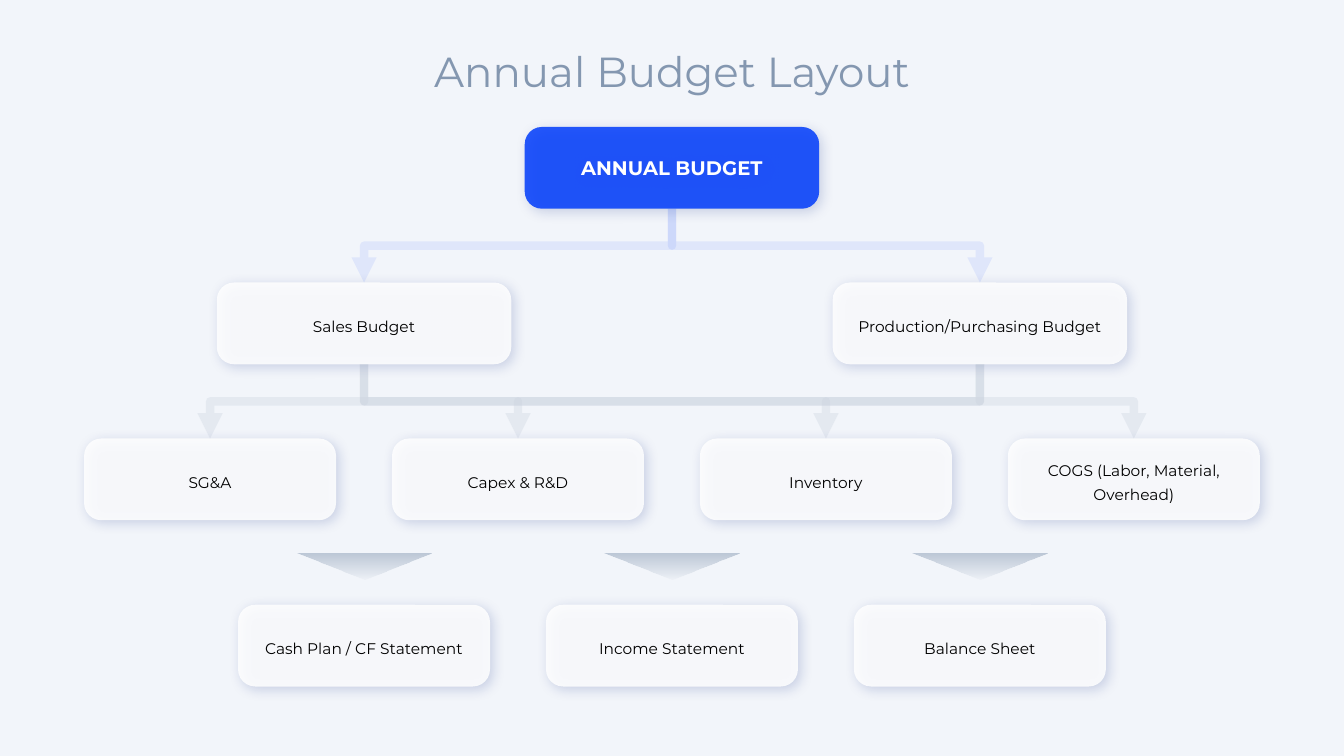
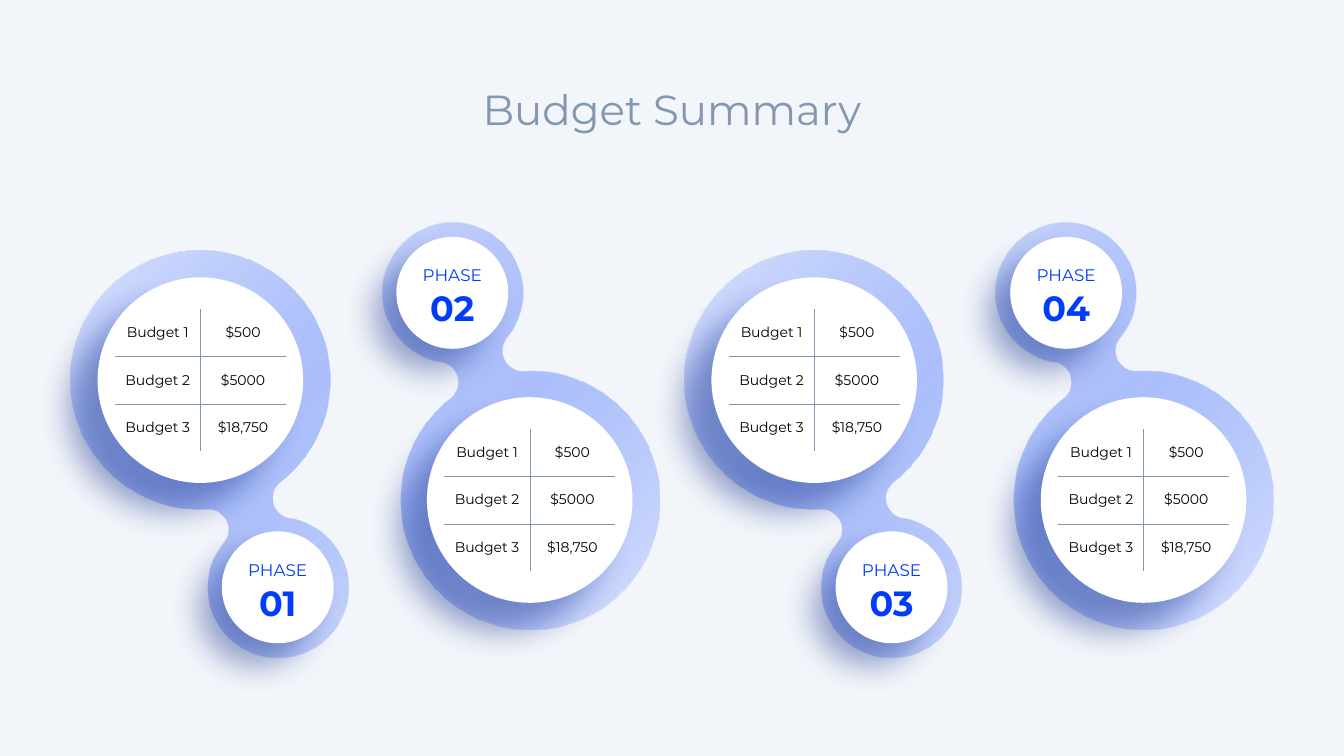
"""Build the annual budget layout and budget summary slides."""
import math
from dataclasses import dataclass

from lxml import etree
from pptx import Presentation
from pptx.dml.color import RGBColor
from pptx.enum.shapes import MSO_CONNECTOR, MSO_SHAPE
from pptx.enum.text import MSO_ANCHOR, MSO_AUTO_SIZE, PP_ALIGN
from pptx.oxml import parse_xml
from pptx.oxml.ns import nsdecls, qn
from pptx.util import Cm, Pt

ELBOW = MSO_CONNECTOR.ELBOW
ROUNDED, TRIANGLE, OVAL = MSO_SHAPE.ROUNDED_RECTANGLE, MSO_SHAPE.ISOSCELES_TRIANGLE, MSO_SHAPE.OVAL
CENTER, TOP, MIDDLE = PP_ALIGN.CENTER, MSO_ANCHOR.TOP, MSO_ANCHOR.MIDDLE
NO_AUTOFIT = MSO_AUTO_SIZE.NONE

COLORS = {
    "background": "F2F5FA", "blue": "013CFB", "sky": "6589FE", "pale": "CCD8FF",
    "slate": "8497B0", "shadow": "001E7E", "white": "FFFFFF", "black": "000000",
}
FONT = "Montserrat"
PLAIN_TABLE = "{2D5ABB26-0587-4C30-8999-92F81FD0307C}"
SLIDE_W, SLIDE_H = 33.87, 19.05
TITLE_W, TITLE_H = 20, 1.57

SLOT_W = 7.76
CARD_H, WIDE, NARROW = 2.06, 7.42, 6.35
ROW_TOPS = (3.2, 7.12, 11.05, 15.24)
POINTER_W, POINTER_H, POINTER_TOP = 3.38, 0.66, 13.94

BIG_R, SMALL_R, NECK_R = 3.26, 1.77, 0.51
BIG_DISC_R, SMALL_DISC_R = 2.59, 1.41
SMALL_DX, SMALL_DY = 1.95, 5.22
COLUMN_W, ROW_H = 2.15, 1.19
PHASE_PITCH = 15.47
BUDGETS = (("Budget 1", "$500"), ("Budget 2", "$5000"), ("Budget 3", "$18,750"))


@dataclass(frozen=True)
class Card:
    label: str
    slot: float
    row: int
    width: float = NARROW

    @property
    def center(self) -> float:
        return SLIDE_W / 2 + self.slot * SLOT_W

    @property
    def top(self) -> float:
        return ROW_TOPS[self.row]


@dataclass(frozen=True)
class Shadow:
    alpha: int
    blur: int
    distance: int
    angle: int


@dataclass(frozen=True)
class Phase:
    number: str
    x: float
    y: float
    side: int


@dataclass(frozen=True)
class Stop:
    position: int
    color: str
    alpha: int


@dataclass(frozen=True)
class Arc:
    center: complex
    radius: float
    start: float
    end: float

    def point(self, angle: float) -> tuple[int, int]:
        x = self.center.real + self.radius * math.cos(angle)
        y = self.center.imag + self.radius * math.sin(angle)
        return Cm(x), Cm(y)

    def quarters(self) -> list["Arc"]:
        low, high = sorted((self.start, self.end))
        quarter = math.pi / 2
        cuts = [n * quarter for n in range(math.ceil(low / quarter), math.ceil(high / quarter))]
        angles = [low, *cuts, high]
        if self.start > self.end:
            angles.reverse()
        return [Arc(self.center, self.radius, a, b) for a, b in zip(angles, angles[1:])]


CARD_SHADOW = Shadow(20, 9, 3, 45)
BIG_SHADOW = Shadow(40, 23, 29, 135)
SMALL_SHADOW = Shadow(40, 23, 22, 135)
POINTER_STOPS = (Stop(0, "slate", 3), Stop(100, "slate", 50))
PHASE_STOPS = (Stop(0, "pale", 66), Stop(50, "sky", 49), Stop(99, "blue", 17))

ROOT = Card("ANNUAL BUDGET", 0, 0, WIDE)
PLANS = (Card("Sales Budget", -1, 1, WIDE), Card("Production/Purchasing Budget", 1, 1, WIDE))
COST_LABELS = ("SG&A", "Capex & R&D", "Inventory", "COGS (Labor, Material, Overhead)")
COSTS = [Card(label, index - 1.5, 2) for index, label in enumerate(COST_LABELS)]
STATEMENT_LABELS = ("Cash Plan / CF Statement", "Income Statement", "Balance Sheet")
STATEMENTS = [Card(label, index - 1, 3) for index, label in enumerate(STATEMENT_LABELS)]
PHASES = [
    Phase(f"{index + 1:02}", x + index // 2 * PHASE_PITCH, y, side)
    for index, (x, y, side) in enumerate(((5.05, 9.58, 1), (13.35, 12.6, -1)) * 2)
]


def rgb(color: str) -> RGBColor:
    return RGBColor.from_string(COLORS[color])


def add_run(paragraph, text: str, size: float, color: str, bold: bool = False) -> None:
    run = paragraph.add_run()
    run.text = text
    run.font.name = FONT
    run.font.size = Pt(size)
    run.font.bold = bold
    run.font.color.rgb = rgb(color)


def set_alpha(properties, alpha: int) -> None:
    color = properties.find(f".//{qn('a:srgbClr')}")
    etree.SubElement(color, qn("a:alpha"), val=str(alpha * 1000))


def set_solid(shape, color: str, alpha: int = 100) -> None:
    shape.fill.solid()
    shape.fill.fore_color.rgb = rgb(color)
    if alpha < 100:
        set_alpha(shape.element.spPr, alpha)
    shape.line.fill.background()
    shape.shadow.inherit = False


def set_gradient(shape, stops: tuple[Stop, ...], direction: str) -> None:
    shape.fill.background()
    shape.line.fill.background()
    shape.shadow.inherit = False
    marks = "".join(
        f'<a:gs pos="{stop.position * 1000}"><a:srgbClr val="{COLORS[stop.color]}">'
        f'<a:alpha val="{stop.alpha * 1000}"/></a:srgbClr></a:gs>'
        for stop in stops
    )
    gradient = parse_xml(
        f'<a:gradFill {nsdecls("a")} rotWithShape="1"><a:gsLst>{marks}</a:gsLst>'
        f"{direction}</a:gradFill>"
    )
    properties = shape.element.spPr
    properties.replace(properties.find(qn("a:noFill")), gradient)


def add_shadow(shape, shadow: Shadow) -> None:
    outer = parse_xml(
        f'<a:outerShdw {nsdecls("a")} blurRad="{Pt(shadow.blur)}" dist="{Pt(shadow.distance)}" '
        f'dir="{shadow.angle * 60000}" algn="ctr" rotWithShape="0">'
        f'<a:srgbClr val="{COLORS["shadow"]}"><a:alpha val="{shadow.alpha * 1000}"/>'
        "</a:srgbClr></a:outerShdw>"
    )
    shape.element.spPr.find(qn("a:effectLst")).append(outer)


def add_titled_slide(prs, title: str, top: float):
    slide = prs.slides.add_slide(prs.slide_layouts.get_by_name("Title Only"))
    heading = slide.shapes.title
    heading.left, heading.top = Cm((SLIDE_W - TITLE_W) / 2), Cm(top)
    heading.width, heading.height = Cm(TITLE_W), Cm(TITLE_H)
    frame = heading.text_frame
    frame.word_wrap = True
    frame.auto_size = NO_AUTOFIT
    frame.vertical_anchor = TOP
    paragraph = frame.paragraphs[0]
    paragraph.alignment = CENTER
    paragraph.line_spacing = Pt(40)
    add_run(paragraph, title, 30, "slate")
    return slide


def add_card(slide, card: Card) -> None:
    is_root = card is ROOT
    box = slide.shapes.add_shape(
        ROUNDED, Cm(card.center - card.width / 2), Cm(card.top), Cm(card.width), Cm(CARD_H)
    )
    box.adjustments[0] = 0.21
    set_solid(box, "blue" if is_root else "white", 85)
    add_shadow(box, CARD_SHADOW)
    frame = box.text_frame
    frame.word_wrap = True
    frame.vertical_anchor = MIDDLE
    paragraph = frame.paragraphs[0]
    paragraph.alignment = CENTER
    paragraph.line_spacing = Pt(16 if is_root else 17)
    size, color = (14, "white") if is_root else (11, "black")
    add_run(paragraph, card.label, size, color, is_root)


def add_branch(slide, parent: Card, child: Card, color: str, alpha: int) -> None:
    start = parent.top + CARD_H
    drop, reach = child.top - start, abs(child.center - parent.center)
    left = (parent.center + child.center - drop) / 2
    top = (start + child.top - reach) / 2
    goes_right = child.center > parent.center
    begin, end = (left + drop, left) if goes_right else (left, left + drop)
    branch = slide.shapes.add_connector(ELBOW, Cm(begin), Cm(top), Cm(end), Cm(top + reach))
    branch.line.width = Pt(6)
    branch.line.color.rgb = rgb(color)
    properties = branch.element.spPr
    properties.find(qn("a:xfrm")).set("rot", str((270 if goes_right else 90) * 60000))
    set_alpha(properties, alpha)
    etree.SubElement(properties.find(qn("a:ln")), qn("a:tailEnd"), type="triangle")
    etree.SubElement(properties, qn("a:effectLst"))


def add_pointer(slide, center: float) -> None:
    pointer = slide.shapes.add_shape(
        TRIANGLE, Cm(center - POINTER_W / 2), Cm(POINTER_TOP), Cm(POINTER_W), Cm(POINTER_H)
    )
    pointer.rotation = 180
    set_gradient(pointer, POINTER_STOPS, '<a:lin ang="5400000" scaled="0"/>')


def linked_circles(phase: Phase) -> list[Arc]:
    distance = math.hypot(SMALL_DX, SMALL_DY)
    axis = complex(SMALL_DX, SMALL_DY) * phase.side / distance
    tilt = math.atan2(axis.imag, axis.real)
    to_big, to_small = BIG_R + NECK_R, SMALL_R + NECK_R
    along = (to_big**2 + distance**2 - to_small**2) / (2 * distance)
    across = math.sqrt(to_big**2 - along**2)
    big_turn = math.atan2(across, along)
    small_turn = math.atan2(across, distance - along)
    outline = (
        (0, BIG_R, big_turn, 2 * math.pi - big_turn),
        (complex(along, -across), NECK_R, math.pi - big_turn, small_turn),
        (distance, SMALL_R, small_turn - math.pi, math.pi - small_turn),
        (complex(along, across), NECK_R, -small_turn, big_turn - math.pi),
    )
    origin = complex(phase.x, phase.y)
    return [
        Arc(origin + center * axis, radius, start + tilt, end + tilt)
        for center, radius, start, end in outline
    ]


def add_outline(slide, phase: Phase) -> None:
    arcs = [piece for arc in linked_circles(phase) for piece in arc.quarters()]
    builder = slide.shapes.build_freeform(*arcs[0].point(arcs[0].start))
    builder.add_line_segments([arc.point(arc.end) for arc in arcs], close=True)
    blob = builder.convert_to_shape()
    for segment, arc in zip(list(blob.element.iter(qn("a:lnTo"))), arcs):
        start = round(math.degrees(arc.start) % 360 * 60000)
        sweep = round(math.degrees(arc.end - arc.start) * 60000)
        curve = parse_xml(
            f'<a:arcTo {nsdecls("a")} wR="{Cm(arc.radius)}" hR="{Cm(arc.radius)}" '
            f'stAng="{start}" swAng="{sweep}"/>'
        )
        segment.getparent().replace(segment, curve)
    near, far = (0, 100000) if phase.side > 0 else (100000, 0)
    direction = (
        f'<a:path path="circle"><a:fillToRect l="{near}" t="{near}" r="{far}" b="{far}"/></a:path>'
    )
    set_gradient(blob, PHASE_STOPS, direction)


def add_disc(slide, x: float, y: float, radius: float, shadow: Shadow):
    size = Cm(2 * radius)
    disc = slide.shapes.add_shape(OVAL, Cm(x - radius), Cm(y - radius), size, size)
    set_solid(disc, "white")
    add_shadow(disc, shadow)
    return disc


def add_phase(slide, phase: Phase) -> None:
    add_outline(slide, phase)
    add_disc(slide, phase.x, phase.y, BIG_DISC_R, BIG_SHADOW)
    x, y = phase.x + phase.side * SMALL_DX, phase.y + phase.side * SMALL_DY
    frame = add_disc(slide, x, y, SMALL_DISC_R, SMALL_SHADOW).text_frame
    frame.word_wrap = True
    frame.vertical_anchor = MIDDLE
    frame.margin_left = frame.margin_right = frame.margin_top = frame.margin_bottom = 0
    paragraph = frame.paragraphs[0]
    paragraph.alignment = CENTER
    add_run(paragraph, "PHASE", 12, "blue")
    add_run(paragraph, " ", 18, "blue")
    add_run(paragraph, phase.number, 25, "blue", True)


def add_border(cell, edge: str) -> None:
    cell._tc.get_or_add_tcPr().append(parse_xml(
        f'<a:{edge} {nsdecls("a")} w="{Pt(0.25)}"><a:solidFill>'
        f'<a:srgbClr val="{COLORS["slate"]}"/></a:solidFill></a:{edge}>'
    ))


def add_budget_table(slide, phase: Phase) -> None:
    rows, columns = len(BUDGETS), len(BUDGETS[0])
    width, height = columns * COLUMN_W, rows * ROW_H
    table = slide.shapes.add_table(
        rows, columns, Cm(phase.x - width / 2), Cm(phase.y - height / 2), Cm(width), Cm(height)
    ).table
    table.first_row = table.horz_banding = False
    table._tbl.tblPr.find(qn("a:tableStyleId")).text = PLAIN_TABLE
    for r, budget in enumerate(BUDGETS):
        for c, text in enumerate(budget):
            cell = table.cell(r, c)
            cell.margin_left = cell.margin_right = Cm(0.2)
            cell.margin_top = cell.margin_bottom = Cm(0.1)
            cell.vertical_anchor = MIDDLE
            if c < columns - 1:
                add_border(cell, "lnR")
            if r < rows - 1:
                add_border(cell, "lnB")
            cell.fill.background()
            paragraph = cell.text_frame.paragraphs[0]
            paragraph.alignment = CENTER
            add_run(paragraph, text, 10, "black")


def build_layout(prs) -> None:
    slide = add_titled_slide(prs, "Annual Budget Layout", 0.89)
    for card in (ROOT, *PLANS, *COSTS, *STATEMENTS):
        add_card(slide, card)
    for plan in PLANS:
        add_branch(slide, ROOT, plan, "blue", 7)
        for cost in COSTS:
            add_branch(slide, plan, cost, "slate", 5)
    for statement in STATEMENTS:
        add_pointer(slide, statement.center)


def build_summary(prs) -> None:
    slide = add_titled_slide(prs, "Budget Summary", 1.83)
    for phase in PHASES:
        add_phase(slide, phase)
        add_budget_table(slide, phase)


def main() -> None:
    prs = Presentation()
    prs.slide_width, prs.slide_height = Cm(SLIDE_W), Cm(SLIDE_H)
    backdrop = prs.slide_master.background.fill
    backdrop.solid()
    backdrop.fore_color.rgb = rgb("background")
    build_layout(prs)
    build_summary(prs)
    prs.save("out.pptx")


if __name__ == "__main__":
    main()
